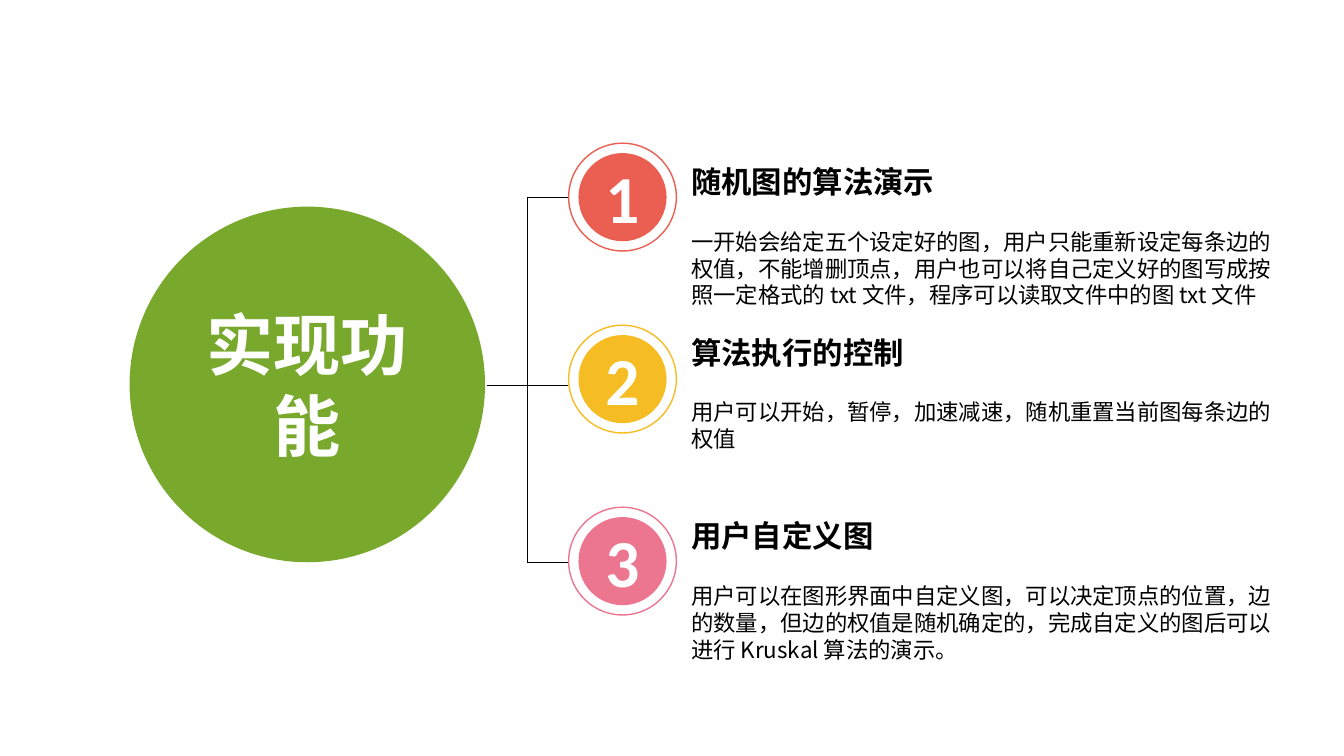
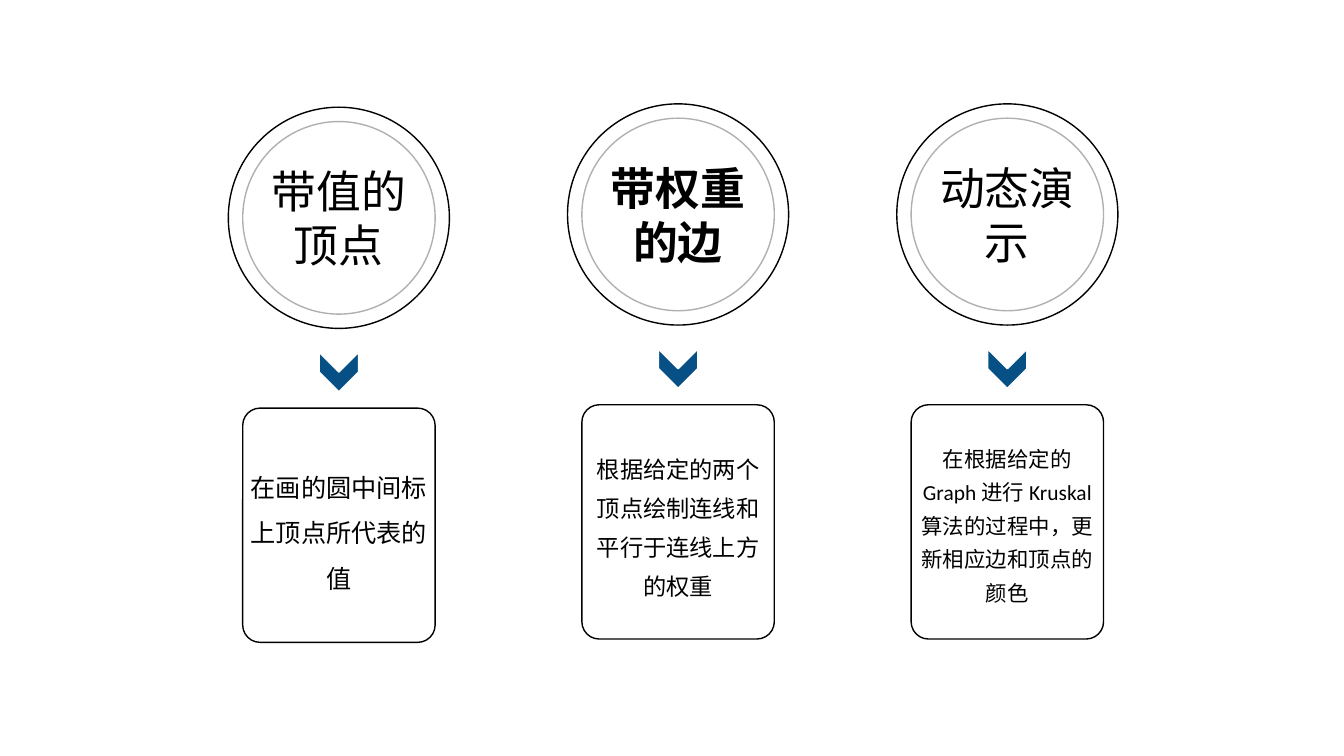
from lxml import etree
from pptx import Presentation
from pptx.dml.color import RGBColor
from pptx.enum.shapes import MSO_CONNECTOR, MSO_SHAPE
from pptx.enum.text import MSO_ANCHOR, PP_ALIGN
from pptx.oxml.ns import qn
from pptx.util import Pt

OVAL, CARD, CHEVRON = MSO_SHAPE.OVAL, MSO_SHAPE.ROUNDED_RECTANGLE, MSO_SHAPE.CHEVRON
STRAIGHT = MSO_CONNECTOR.STRAIGHT
LEFT, CENTER = PP_ALIGN.LEFT, PP_ALIGN.CENTER
TOP, MIDDLE = MSO_ANCHOR.TOP, MSO_ANCHOR.MIDDLE

# Shared look
HAN, LATIN = "Noto Sans CJK SC", "Calibri"
BLACK, WHITE = "000000", "FFFFFF"
GREEN, NAVY = "78A82C", "065086"
VEIL = 69  # opacity of the white ring fill, percent

# Slide 1: badge colour, heading, heading top, body, body height
HUB = "实现功能"
FEATURES = [
    ("EB5F52", "随机图的算法演示", 118,
     "一开始会给定五个设定好的图，用户只能重新设定每条边的权值，不能增删顶点，"
     "用户也可以将自己定义好的图写成按照一定格式的 txt 文件，"
     "程序可以读取文件中的图 txt 文件", 73),
    ("F5BD23", "算法执行的控制", 239.8,
     "用户可以开始，暂停，加速减速，随机重置当前图每条边的权值", 53),
    ("EC7690", "用户自定义图", 371,
     "用户可以在图形界面中自定义图，可以决定顶点的位置，边的数量，"
     "但边的权值是随机确定的，完成自定义的图后可以进行 Kruskal 算法的演示。", 89),
]

# Slide 2: centre x, drop, title, title format, body, body format
STEPS = [
    (242.2, 2.4, "带值的顶点", dict(name=LATIN),
     "在画的圆中间标上顶点所代表的值", dict(size=18, spacing=1.5)),
    (484.6, 0, "带权重的边", dict(name=LATIN, bold=True),
     "根据给定的两个顶点绘制连线和平行于连线上方的权重",
     dict(size=16.6, spacing=1.4)),
    (719.9, 0, "动态演示", dict(name=HAN),
     "在根据给定的 Graph 进行 Kruskal 算法的过程中，更新相应边和顶点的颜色",
     dict(size=15.3, spacing=1.3, name=LATIN)),
]


def rgb(value):
    return RGBColor.from_string(value)


def write(shape, text, size, color=BLACK, name=HAN, bold=False, align=CENTER,
          anchor=MIDDLE, inset=0, spacing=None):
    tf = shape.text_frame
    margins = dict.fromkeys(
        ("margin_left", "margin_top", "margin_right", "margin_bottom"), Pt(inset))
    for key, value in dict(margins, word_wrap=True, vertical_anchor=anchor).items():
        setattr(tf, key, value)
    p = tf.paragraphs[0]
    p.alignment = align
    if spacing:
        p.line_spacing = spacing
    r = p.add_run()
    r.text = text
    for key, value in dict(size=Pt(size), bold=bold, name=name).items():
        setattr(r.font, key, value)
    r.font.color.rgb = rgb(color)
    # East Asian face for the Chinese characters
    etree.SubElement(r._r.get_or_add_rPr(), qn("a:ea"), typeface=HAN)


def add_shape(s, kind, cx, cy, w, h, fill, line=None, opacity=100):
    """Place a preset shape around its centre."""
    sp = s.shapes.add_shape(kind, Pt(cx - w / 2), Pt(cy - h / 2), Pt(w), Pt(h))
    sp.shadow.inherit = False
    sp.fill.solid()
    sp.fill.fore_color.rgb = rgb(fill)
    if opacity < 100:
        color = sp.fill._xPr.find(".//" + qn("a:srgbClr"))
        etree.SubElement(color, qn("a:alpha"), val=str(opacity * 1000))
    if line:
        sp.line.color.rgb = rgb(line)
        sp.line.width = Pt(1)
    else:
        sp.line.fill.background()
    return sp


def add_line(s, x1, y1, x2, y2):
    line = s.shapes.add_connector(STRAIGHT, Pt(x1), Pt(y1), Pt(x2), Pt(y2))
    line.line.color.rgb = rgb(BLACK)
    line.line.width = Pt(0.5)
    etree.SubElement(line._element.spPr, qn("a:effectLst"))


def add_text(s, x, y, w, h, text, size, **fmt):
    write(s.shapes.add_textbox(Pt(x), Pt(y), Pt(w), Pt(h)), text, size,
          align=LEFT, anchor=TOP, inset=3.6, **fmt)


def features_slide(s):
    hub = add_shape(s, OVAL, 219.6, 274.6, 254, 254, GREEN)
    write(hub, HUB, 48, WHITE, bold=True, inset=7.2)

    # Bracket from hub to badges
    stem, edge, branches = 376.8, 406.2, (141.1, 275, 401.8)
    for y in branches:
        add_line(s, stem, y, edge, y)
    add_line(s, stem, branches[0], stem, branches[-1])
    add_line(s, 347.8, branches[1], stem, branches[1])

    # Numbered badges with their text
    for i, (color, heading, top, body, height) in enumerate(FEATURES):
        cx, cy = 444.9, 140.8 + 130 * i
        add_shape(s, OVAL, cx, cy, 77, 77, WHITE, color, VEIL)
        badge = add_shape(s, OVAL, cx, cy, 62, 62, color, color)
        write(badge, str(i + 1), 48, WHITE, LATIN, bold=True)
        add_text(s, 490.4, top, 302.4, 35.3, heading, 21.7, bold=True, spacing=0.8)
        add_text(s, 490.4, top + 41.2, 432.7, height, body, 16)


def steps_slide(s):
    for cx, drop, title, title_fmt, body, body_fmt in STEPS:
        cy = 153.2 + drop
        # The veiled outer circle lies over the inner ring and greys it
        add_shape(s, OVAL, cx, cy, 137.5, 137.5, WHITE, BLACK, VEIL)
        ring = add_shape(s, OVAL, cx, cy, 158, 158, WHITE, BLACK, VEIL)
        write(ring, title, 32, **title_fmt)
        arrow = add_shape(s, CHEVRON, cx, cy + 110.2, 28, 28, NAVY, WHITE)
        arrow.rotation = 90
        card = add_shape(s, CARD, cx, cy + 219.6, 137.5, 167.3, WHITE, BLACK, VEIL)
        card.adjustments[0] = 0.09
        write(card, body, **body_fmt)


def main():
    prs = Presentation()
    prs.slide_width, prs.slide_height = Pt(960.5), Pt(540)
    for build in (features_slide, steps_slide):
        build(prs.slides.add_slide(prs.slide_layouts[6]))
    prs.save("out.pptx")


if __name__ == "__main__":
    main()
